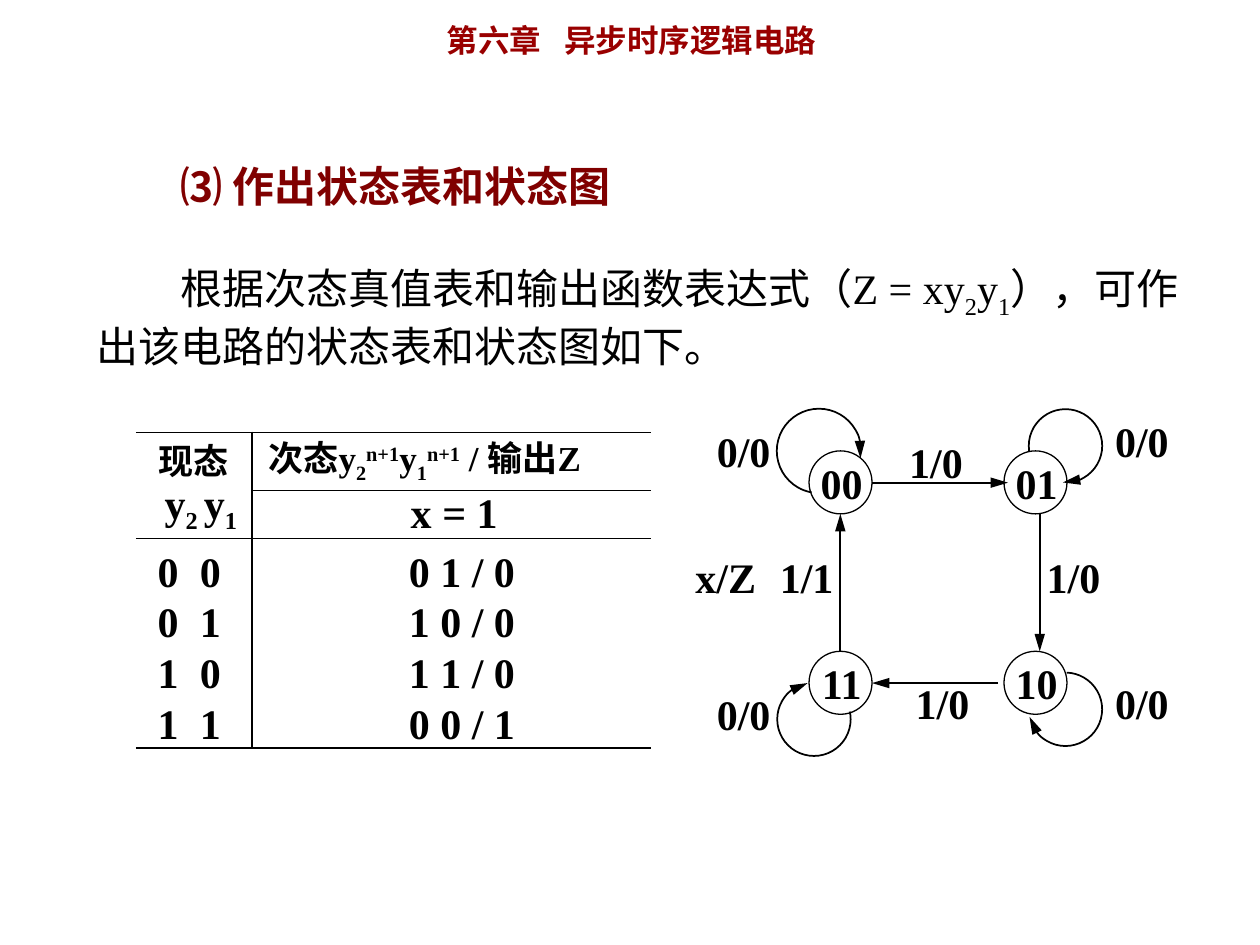
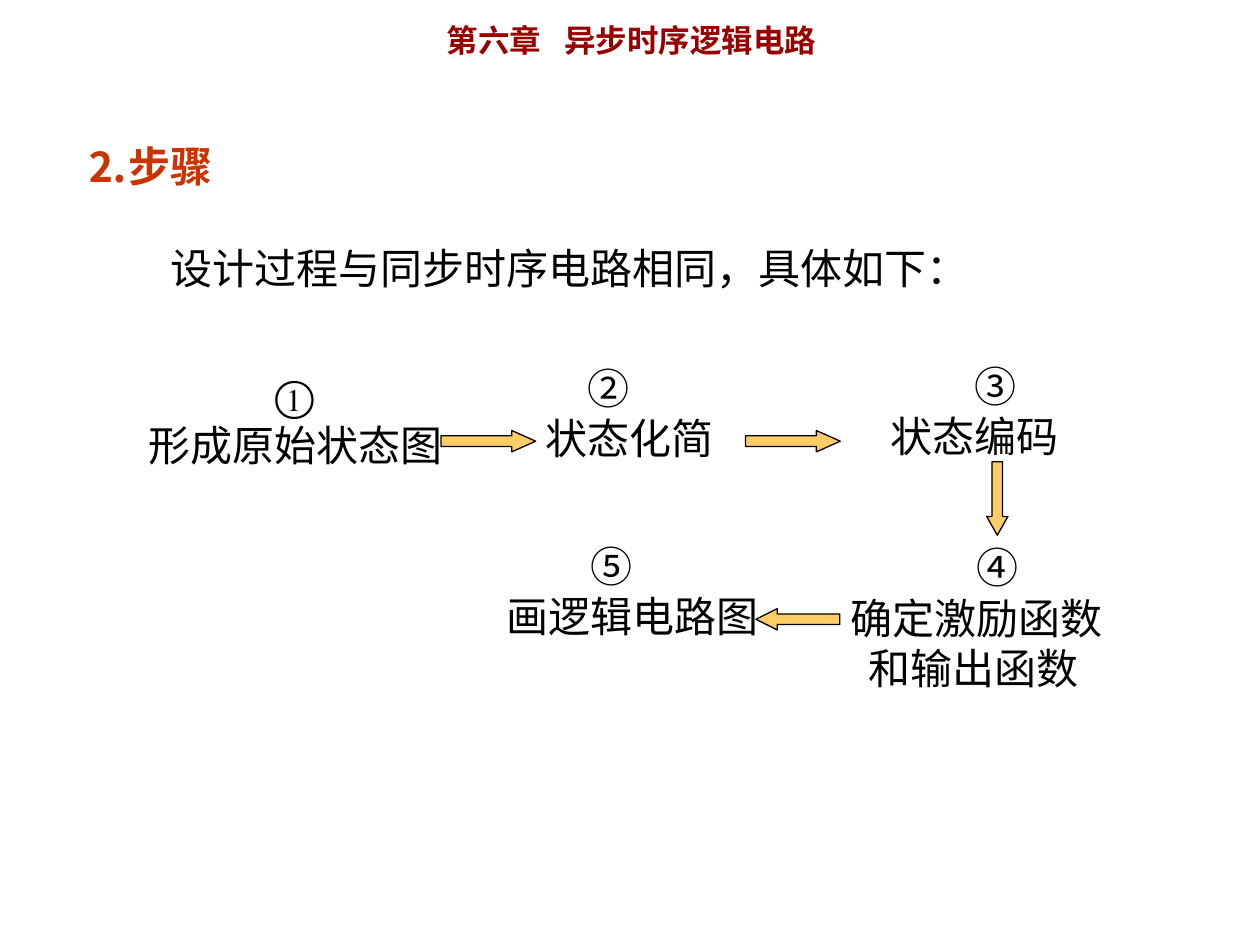
from lxml import etree
from pptx import Presentation
from pptx.dml.color import RGBColor
from pptx.enum.shapes import MSO_CONNECTOR, MSO_SHAPE
from pptx.enum.text import MSO_ANCHOR, PP_ALIGN
from pptx.oxml.ns import qn
from pptx.util import Cm, Pt

STRAIGHT = MSO_CONNECTOR.STRAIGHT
OVAL, ARC = MSO_SHAPE.OVAL, MSO_SHAPE.ARC
RIGHT, DOWN, LEFT = MSO_SHAPE.RIGHT_ARROW, MSO_SHAPE.DOWN_ARROW, MSO_SHAPE.LEFT_ARROW
MIDDLE, BOTTOM, CENTER = MSO_ANCHOR.MIDDLE, MSO_ANCHOR.BOTTOM, PP_ALIGN.CENTER

BLACK = RGBColor(0x00, 0x00, 0x00)
TITLE_RED = RGBColor(0x99, 0x00, 0x00)
HEADING_RED = RGBColor(0x80, 0x00, 0x00)
STEP_RED = RGBColor(0xCC, 0x33, 0x00)
ARROW_GOLD = RGBColor(0xFF, 0xCC, 0x66)
LATIN_FONT, CHINESE_FONT = "Times New Roman", "Noto Sans CJK JP"
TEXT_TOP = 0.12
LINE_FACTOR = 1.2
BASELINES = {"_": "-25000", "^": "30000"}
TWO_CHARACTERS = 1.69


def lengths(*values):
    return [Cm(value) for value in values]


def format_span(span, size, color, bold, font):
    span.font.size = Pt(size)
    span.font.bold = bold
    span.font.color.rgb = color
    span.font.name = font
    etree.SubElement(span._r.get_or_add_rPr(), qn("a:ea")).set("typeface", CHINESE_FONT)


def fill_paragraph(para, text, size=24, color=BLACK, bold=False, font=LATIN_FONT,
                   line=None, before=0, left=0, first=0, gap=0):
    para.line_spacing = Pt(line or size * LINE_FACTOR)
    if before:
        para.space_before = Pt(before)
    properties = para._p.get_or_add_pPr()
    properties.set("marL", str(Cm(left)))
    properties.set("indent", str(Cm(first)))
    for piece in text.split("|"):
        span = para.add_run()
        span.text = piece.lstrip("_^")
        format_span(span, size, color, bold, font)
        if piece[0] in BASELINES:
            span._r.get_or_add_rPr().set("baseline", BASELINES[piece[0]])
        if gap and piece == " ":
            span._r.get_or_add_rPr().set("spc", str(gap * 100))


def add_text(page, place, paragraphs):
    frame = page.shapes.add_textbox(*lengths(*place)).text_frame
    frame.word_wrap = True
    frame.margin_top = Cm(TEXT_TOP)
    for index, (text, style) in enumerate(paragraphs):
        para = frame.add_paragraph() if index else frame.paragraphs[0]
        fill_paragraph(para, text, **style)


def add_page(deck):
    page = deck.slides.add_slide(deck.slide_layouts[6])
    style = dict(size=18, color=TITLE_RED, bold=True, font=CHINESE_FONT, gap=9)
    add_text(page, (8.76, 0.3, 9.8, 1.02), [("第六章| |异步时序逻辑电路", style)])
    return page


def add_outline(page, kind, place, width=0.75):
    shape = page.shapes.add_shape(kind, *lengths(*place))
    shape.shadow.inherit = False
    shape.fill.background()
    shape.line.color.rgb = BLACK
    shape.line.width = Pt(width)
    return shape


def add_arrowhead(line):
    etree.SubElement(line._get_or_add_ln(), qn("a:tailEnd"), type="triangle", len="lg")


def add_transition(page, start, end):
    arrow = page.shapes.add_connector(STRAIGHT, *lengths(*start, *end))
    arrow.line.color.rgb = BLACK
    arrow.line.width = Pt(1)
    add_arrowhead(arrow.line)
    etree.SubElement(arrow._element.spPr, qn("a:effectLst"))


def add_loop(page, center_x, center_y, radius, start, end):
    place = (center_x - radius, center_y - radius, 2 * radius, 2 * radius)
    loop = add_outline(page, ARC, place, 1)
    for index, angle in enumerate((start, end)):
        loop.adjustments[index] = angle * 0.6
    add_arrowhead(loop.line)


def add_state(page, name, left, top):
    frame = add_outline(page, OVAL, (left, top, 1.27, 1.27)).text_frame
    frame.margin_left, frame.margin_right = lengths(0.05, 0)
    frame.margin_top = frame.margin_bottom = 0
    frame.word_wrap = False
    frame.vertical_anchor = MIDDLE
    frame.text = name
    para = frame.paragraphs[0]
    para.alignment = CENTER
    format_span(para.runs[0], 24, BLACK, True, LATIN_FONT)


def set_borders(cell, sides):
    properties = cell._tc.get_or_add_tcPr()
    for side in "LRTB":
        line = etree.SubElement(properties, qn("a:ln" + side), w=str(Pt(0.75)))
        if side in sides:
            solid = etree.SubElement(line, qn("a:solidFill"))
            etree.SubElement(solid, qn("a:srgbClr"), val=str(BLACK))
        else:
            etree.SubElement(line, qn("a:noFill"))
    cell.fill.background()


def fill_cell(cell, text, left, anchor=MIDDLE, line=27, size=24):
    cell.margin_left = Cm(left)
    cell.vertical_anchor = anchor
    fill_paragraph(cell.text_frame.paragraphs[0], text, size=size, bold=True, line=line, gap=6)


def add_state_table(page):
    rows = [("0| |0", "0 1 / 0"), ("0| |1", "1 0 / 0"),
            ("1| |0", "1 1 / 0"), ("1| |1", "0 0 / 1")]
    heights = [1.17, 0.97, 1.17, 1.02, 1.02, 1.02]
    widths = [2.34, 8.05]
    table = page.shapes.add_table(6, 2, *lengths(2.74, 8.71, sum(widths), sum(heights))).table
    table.first_row = table.horz_banding = False
    for column, width in zip(table.columns, widths):
        column.width = Cm(width)
    for row, height in zip(table.rows, heights):
        row.height = Cm(height)
    for row in range(6):
        for column in range(2):
            cell = table.cell(row, column)
            cell.margin_left = cell.margin_right = cell.margin_top = cell.margin_bottom = 0
            sides = "L" if column else "R"
            if row in (0, 2) or (row, column) == (1, 1):
                sides += "T"
            if row in (1, 5) or (row, column) == (0, 1):
                sides += "B"
            set_borders(cell, sides)
    fill_cell(table.cell(0, 0), "现态", 0.46, size=20)
    fill_cell(table.cell(1, 0), "y|_2 |y|_1", 0.58, line=24)
    fill_cell(table.cell(0, 1), "次态y|_2|^n+1|y|_1|^n+1| / 输出Z", 0.33, size=20)
    fill_cell(table.cell(1, 1), "x = 1", 3.2)
    for row, (present, following) in enumerate(rows, 2):
        fill_cell(table.cell(row, 0), present, 0.44, BOTTOM)
        fill_cell(table.cell(row, 1), following, 3.16, BOTTOM)


def add_state_diagram(page):
    left, right, upper, lower = 16.31, 20.24, 9.09, 13.13
    for name, x, y in [("00", left, upper), ("01", right, upper),
                       ("10", right, lower), ("11", left, lower)]:
        add_state(page, name, x, y)
    for start, end in [((17.58, 9.73), (20.32, 9.73)), ((20.96, 10.36), (20.96, 13.13)),
                       ((20.12, 13.77), (17.58, 13.77)), ((16.94, 13.13), (16.94, 10.36))]:
        add_transition(page, start, end)
    for loop in [(16.51, 9.09, 0.85, 100, 10), (21.48, 8.99, 0.74, 172, 94),
                 (21.48, 14.3, 0.74, 272, 168), (16.41, 14.5, 0.74, 348, 260)]:
        add_loop(page, *loop)
    for text, x, y in [("0/0", 14.2, 13.77), ("0/0", 22.23, 13.54), ("0/0", 14.2, 8.46),
                       ("0/0", 22.23, 8.26), ("1/0", 18.08, 8.69), ("1/0", 20.85, 11),
                       ("1/0", 18.21, 13.54), ("1/1", 15.47, 11), ("x/Z", 13.77, 11)]:
        add_text(page, (x, y, 1.9, 1.27), [(text, dict(bold=True))])


def add_step(page, left, top, width, number, indent, lines, font=CHINESE_FONT):
    add_text(page, (left, top, width, 2.29), [(number, dict(left=indent, font=font))]
             + [(text, dict(left=line_indent)) for text, line_indent in lines])


def add_block_arrow(page, kind, place, head):
    arrow = add_outline(page, kind, place)
    arrow.fill.solid()
    arrow.fill.fore_color.rgb = ARROW_GOLD
    arrow.adjustments[0] = 0.5
    arrow.adjustments[1] = head


def build_state_page(deck):
    page = add_page(deck)
    explanation = "根据次态真值表和输出函数表达式（Z = xy|_2|y|_1|），可作出该电路的状态表和状态图如下。"
    add_text(page, (1.7, 3.12, 22.91, 4.47), [
        ("⑶ 作出状态表和状态图", dict(color=HEADING_RED, bold=True, first=TWO_CHARACTERS)),
        (explanation, dict(first=TWO_CHARACTERS, before=33.5)),
    ])
    add_state_table(page)
    add_state_diagram(page)


def build_steps_page(deck):
    page = add_page(deck)
    add_text(page, (1.5, 2.72, 18.29, 3.3), [
        ("⒉步骤", dict(color=STEP_RED, bold=True)),
        ("设计过程与同步时序电路相同，具体如下：", dict(first=TWO_CHARACTERS, before=29.5)),
    ])
    add_step(page, 2.54, 7.32, 7.2, "①", 2.75, [("形成原始状态图", 0.21)], LATIN_FONT)
    add_step(page, 10.74, 7.19, 4.2, "②", 0.85, [("状态化简", 0)])
    add_step(page, 17.7, 7.14, 4.2, "③", TWO_CHARACTERS, [("状态编码", 0)])
    add_step(page, 9.96, 10.77, 6, "⑤", TWO_CHARACTERS, [("画逻辑电路图", 0)])
    add_step(page, 16.89, 10.8, 6, "④", 2.54, [("确定激励函数", 0), ("和输出函数", 0.36)])
    add_block_arrow(page, RIGHT, (8.89, 8.68, 1.91, 0.43), 1.12)
    add_block_arrow(page, RIGHT, (15.03, 8.68, 1.91, 0.43), 1.12)
    add_block_arrow(page, DOWN, (19.89, 9.31, 0.43, 1.48), 0.88)
    add_block_arrow(page, LEFT, (15.24, 12.27, 1.69, 0.43), 1)


def main():
    deck = Presentation()
    deck.slide_width, deck.slide_height = lengths(25.4, 19.05)
    build_state_page(deck)
    build_steps_page(deck)
    deck.save("out.pptx")


if __name__ == "__main__":
    main()
